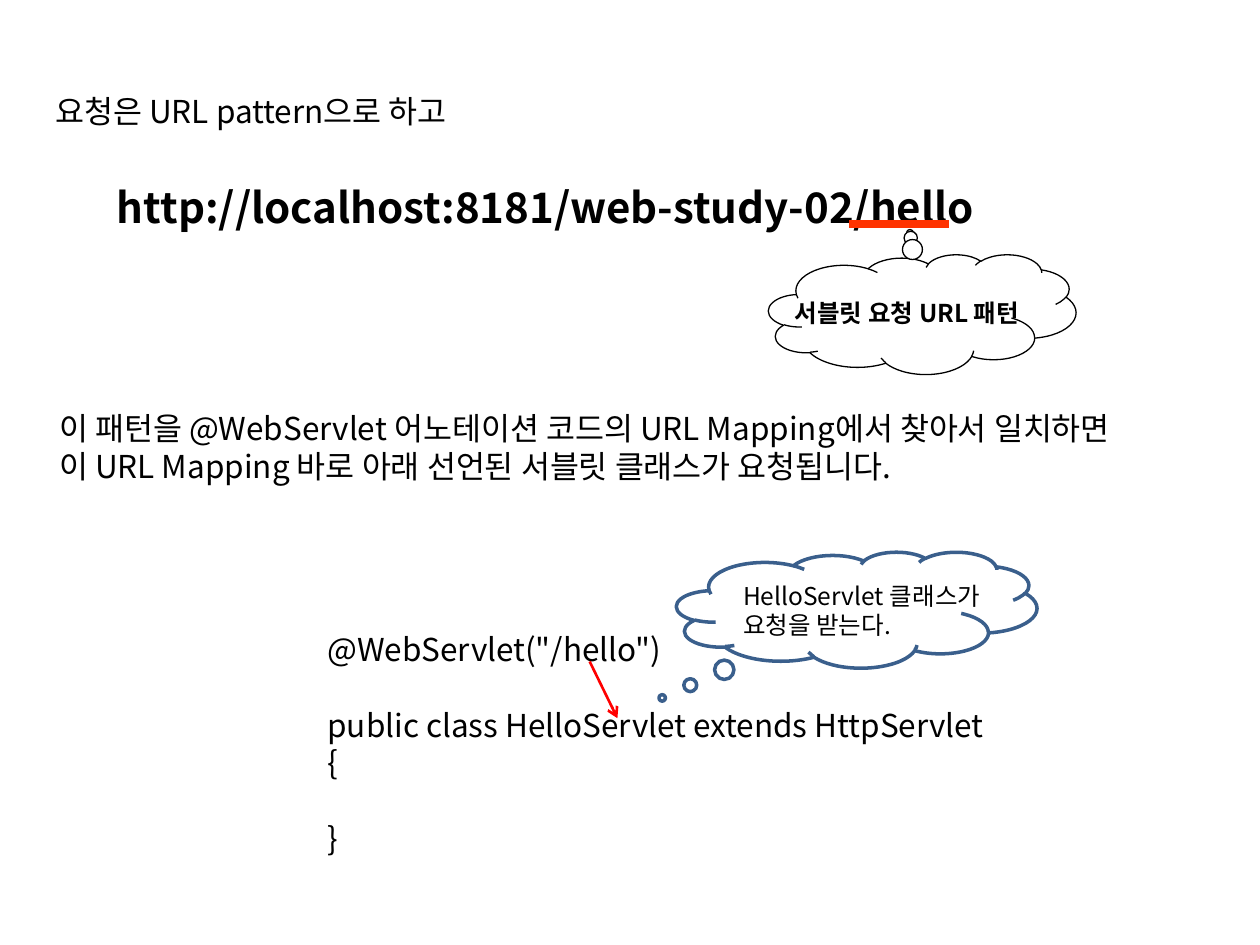
"""Builds a slide on how a servlet request URL maps to its servlet class."""
import pptx
import pptx.dml.color
import pptx.enum.shapes
import pptx.enum.text
import pptx.oxml
import pptx.oxml.ns
import pptx.util

BLACK = pptx.dml.color.RGBColor(0x00, 0x00, 0x00)
WHITE = pptx.dml.color.RGBColor(0xFF, 0xFF, 0xFF)
ORANGE = pptx.dml.color.RGBColor(0xFF, 0x33, 0x00)
RED = pptx.dml.color.RGBColor(0xFF, 0x00, 0x00)
BLUE = pptx.dml.color.RGBColor(0x3A, 0x5F, 0x8C)

FONT = "Noto Sans CJK KR"
SLIDE_WIDTH = pptx.util.Inches(10)
SLIDE_HEIGHT = pptx.util.Inches(7.5)
CODE_LINE = pptx.util.Pt(21.7)

BODY = {"size": pptx.util.Pt(18), "bold": False}
URL = {"size": pptx.util.Pt(24), "bold": True}
LABEL = {"size": pptx.util.Pt(14), "bold": True}
NOTE = {"size": pptx.util.Pt(14), "bold": False}
GAP = {"space_before": CODE_LINE}

# Places are percentages of the slide's width and height.
CLOUDS = [
    ((61, 26.93, 24.4, 12.67), (-0.04, -0.68), WHITE, BLACK, 0.75),
    ((53.7, 58.4, 28.6, 12.27), (-0.54, 0.76), None, BLUE, 2),
]
TEXTS = [
    ((3.4, 9.07, 93.2, 5.33), BODY, True, [("요청은 URL pattern으로 하고", {})]),
    ((3.7, 42.67, 87.5, 9.47), BODY, True, [
        ("이 패턴을 @WebServlet 어노테이션 코드의 URL Mapping에서 찾아서 "
         "일치하면 이 URL Mapping 바로 아래 선언된 서블릿 클래스가 요청됩니다.", {})]),
    ((8.3, 17.47, 70.9, 7.87), URL, True, [
        ("http://localhost:8181/web-study-02/hello", {"line_spacing": 1.2})]),
    ((62.1, 30.93, 22.2, 4.53), LABEL, False, [("서블릿 요청 URL 패턴", {})]),
    ((58, 60.8, 22, 7.6), NOTE, False, [
        ("HelloServlet 클래스가", {}), ("요청을 받는다.", {})]),
    ((25, 66, 54.9, 21.6), BODY, True, [
        ('@WebServlet("/hello")', {}),
        ("public class HelloServlet extends HttpServlet {", GAP),
        ("}", GAP)]),
]
LINES = [
    ((67.4, 23.73, 75.3, 23.73), ORANGE, 4.5, False),
    ((46.8, 70, 49, 76), RED, 1.5, True),
]


def place(shares):
    sides = (SLIDE_WIDTH, SLIDE_HEIGHT) * 2
    return [round(side * share / 100) for side, share in zip(sides, shares)]


def apply(target, values):
    for name, value in values.items():
        setattr(target, name, value)


def add_cloud(slide, shares, tip, fill, outline, weight):
    cloud = slide.shapes.add_shape(
        pptx.enum.shapes.MSO_SHAPE.CLOUD_CALLOUT, *place(shares))
    cloud.shadow.inherit = False
    for index, value in enumerate(tip):
        cloud.adjustments[index] = value
    if fill is None:
        cloud.fill.background()
    else:
        cloud.fill.solid()
        cloud.fill.fore_color.rgb = fill
    cloud.line.color.rgb = outline
    cloud.line.width = pptx.util.Pt(weight)


def add_text(slide, shares, style, wrap, paragraphs):
    frame = slide.shapes.add_textbox(*place(shares)).text_frame
    frame.word_wrap = wrap
    frame.auto_size = pptx.enum.text.MSO_AUTO_SIZE.SHAPE_TO_FIT_TEXT
    for index, (wording, spacing) in enumerate(paragraphs):
        paragraph = frame.add_paragraph() if index else frame.paragraphs[0]
        apply(paragraph, spacing)
        run = paragraph.add_run()
        run.text = wording
        apply(run.font, {**style, "name": FONT})
        run.font.color.rgb = BLACK
        east_asian = pptx.oxml.parse_xml(
            f'<a:ea {pptx.oxml.ns.nsdecls("a")} typeface="{FONT}"/>')
        run.font._element.append(east_asian)


def add_line(slide, ends, color, weight, arrow):
    line = slide.shapes.add_connector(
        pptx.enum.shapes.MSO_CONNECTOR.STRAIGHT, *place(ends))
    line.line.color.rgb = color
    line.line.width = pptx.util.Pt(weight)
    namespace = pptx.oxml.ns.nsdecls("a")
    if arrow:
        line.line._get_or_add_ln().append(
            pptx.oxml.parse_xml(f'<a:tailEnd {namespace} type="arrow"/>'))
    line._element.spPr.append(pptx.oxml.parse_xml(f"<a:effectLst {namespace}/>"))


def main():
    deck = pptx.Presentation()
    apply(deck, {"slide_width": SLIDE_WIDTH, "slide_height": SLIDE_HEIGHT})
    slide = deck.slides.add_slide(deck.slide_layouts[6])
    for add, parts in ((add_cloud, CLOUDS), (add_text, TEXTS), (add_line, LINES)):
        for part in parts:
            add(slide, *part)
    deck.save("out.pptx")


if __name__ == "__main__":
    main()
